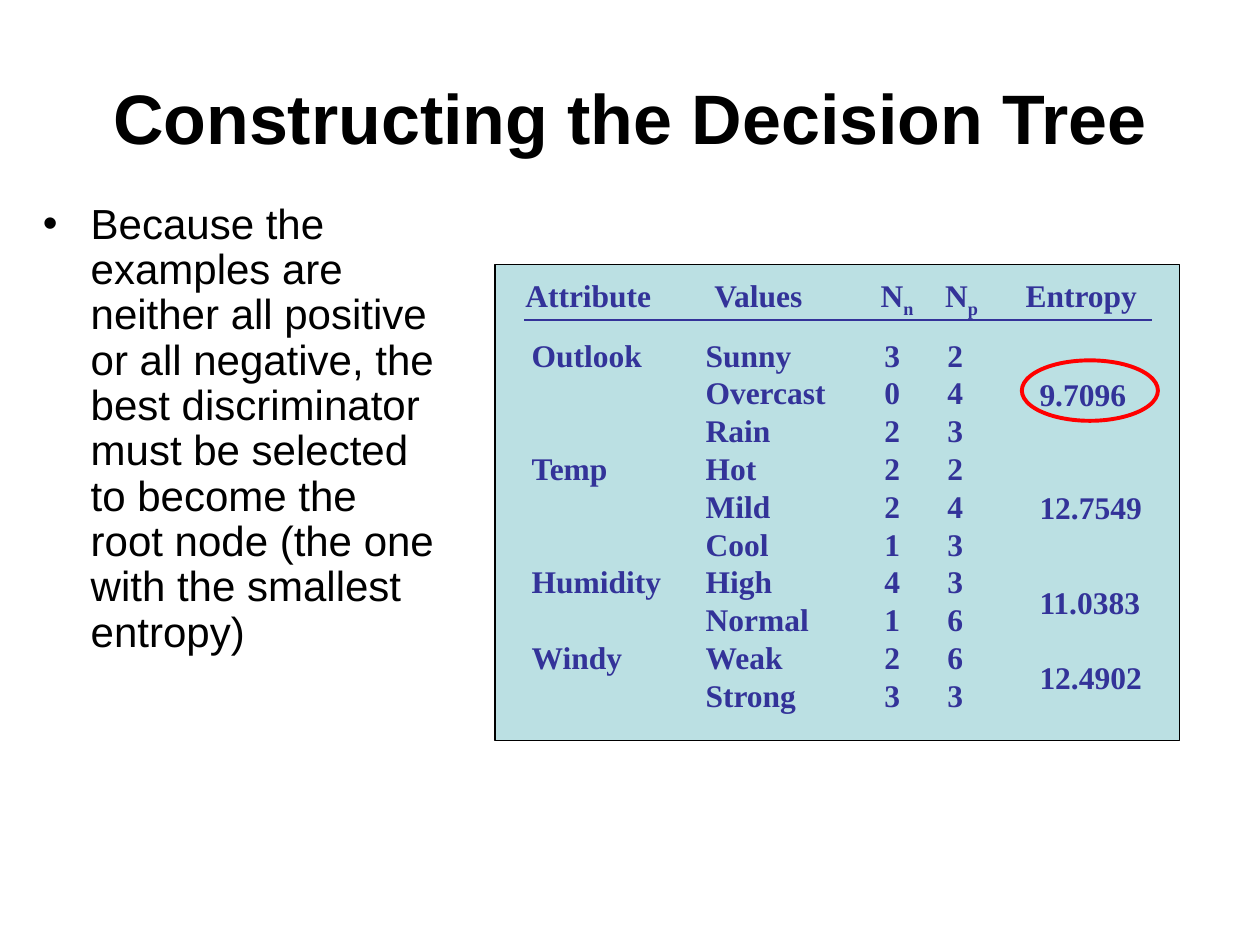
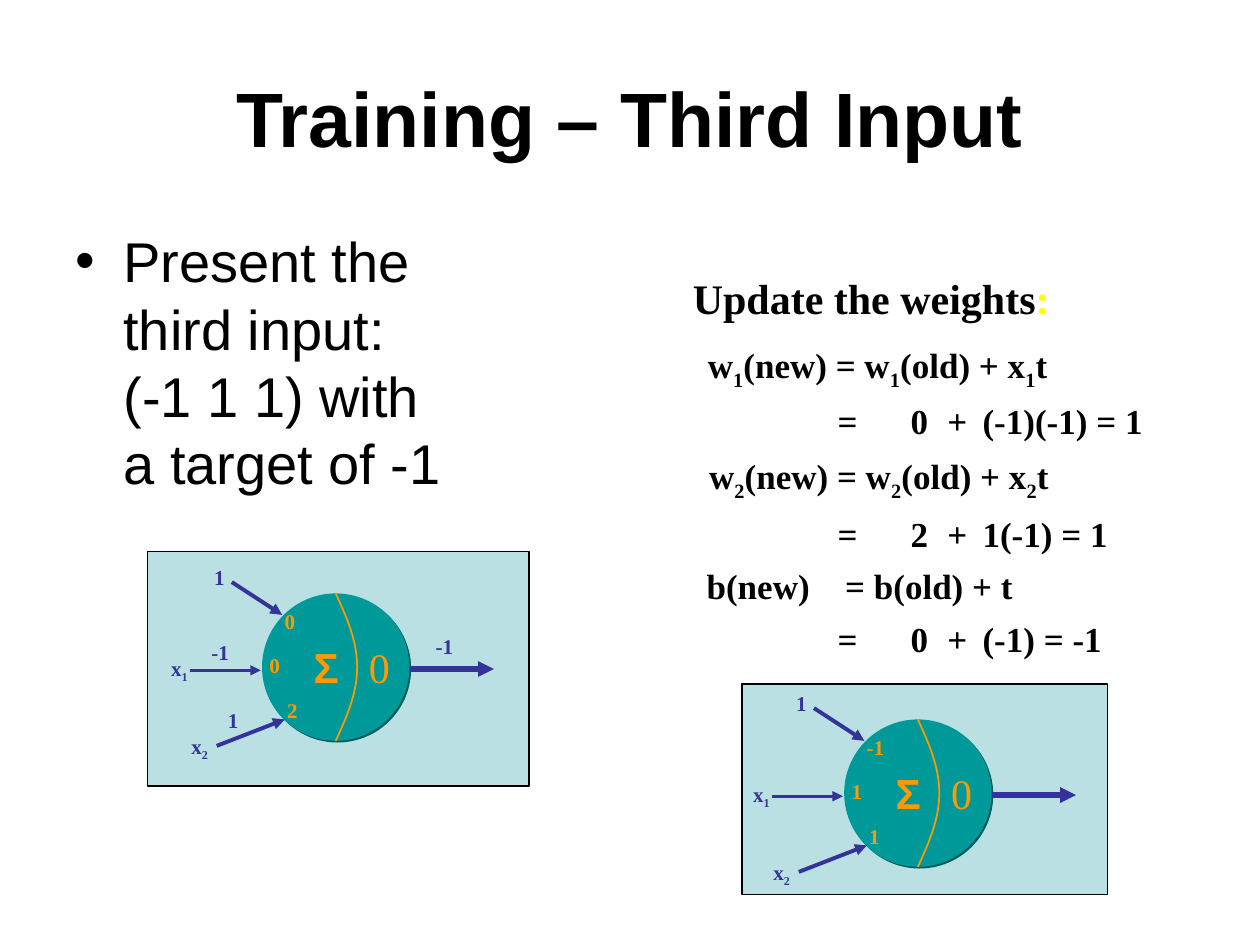
from dataclasses import dataclass
from math import pi, sin
from typing import Any

from lxml import etree
from pptx import Presentation
from pptx.dml.color import RGBColor
from pptx.enum.shapes import MSO_CONNECTOR, MSO_SHAPE
from pptx.enum.text import MSO_ANCHOR, MSO_AUTO_SIZE, PP_ALIGN
from pptx.oxml.ns import qn
from pptx.util import Inches, Pt

RECTANGLE, OVAL = MSO_SHAPE.RECTANGLE, MSO_SHAPE.OVAL
STRAIGHT = MSO_CONNECTOR.STRAIGHT
TOP, MIDDLE = MSO_ANCHOR.TOP, MSO_ANCHOR.MIDDLE
NO_FIT, GROW = MSO_AUTO_SIZE.NONE, MSO_AUTO_SIZE.SHAPE_TO_FIT_TEXT
CENTER = PP_ALIGN.CENTER
PLAIN_TABLE = "{2D5ABB26-0587-4C30-8999-92F81FD0307C}"


@dataclass(frozen=True)
class Theme:
    sans: str = "Arial"
    serif: str = "Times New Roman"
    black: RGBColor = RGBColor(0, 0, 0)
    panel: RGBColor = RGBColor(0xBB, 0xE0, 0xE3)
    indigo: RGBColor = RGBColor(0x33, 0x33, 0x99)
    teal: RGBColor = RGBColor(0, 0x99, 0x99)
    orange: RGBColor = RGBColor(0xFF, 0x99, 0)
    red: RGBColor = RGBColor(0xFF, 0, 0)
    yellow: RGBColor = RGBColor(0xFF, 0xFF, 0)
    neuron_shadow: str = "005B5B"
    label_size: int = 12
    table_size: int = 18
    formula_size: int = 20
    heading_size: int = 24


THEME = Theme()


@dataclass(frozen=True)
class Place:
    left: float
    top: float
    width: float
    height: float

    def lengths(self) -> tuple:
        return tuple(Inches(v) for v in (self.left, self.top, self.width, self.height))


@dataclass(frozen=True)
class Column:
    width: float
    head: str
    head_indent: float
    body_indent: float


@dataclass(frozen=True)
class Attribute:
    name: str
    entropy: str
    values: tuple


@dataclass(frozen=True)
class Label:
    text: str
    left: float
    top: float
    color: RGBColor = THEME.indigo
    size: int = THEME.label_size
    name: str = THEME.serif
    bold: bool = True
    width: float = 0.28


@dataclass(frozen=True)
class Arrow:
    start: tuple
    end: tuple
    weight: float


@dataclass(frozen=True)
class Formula:
    text: str
    left: float
    top: float
    tabs: tuple = ()


# Attribute table
COLUMNS = (
    Column(1.4, "Attribute", 0.07, 0.12),
    Column(1.4, "Values", 0.17, 0.1),
    Column(0.5, "N_n", 0.09, 0.12),
    Column(0.6, "N_p", 0.1, 0.12),
    Column(1.2, "Entropy", 0.14, 0.25),
)
ATTRIBUTES = (
    Attribute("Outlook", "9.7096", (("Sunny", 3, 2), ("Overcast", 0, 4), ("Rain", 2, 3))),
    Attribute("Temp", "12.7549", (("Hot", 2, 2), ("Mild", 2, 4), ("Cool", 1, 3))),
    Attribute("Humidity", "11.0383", (("High", 4, 3), ("Normal", 1, 6))),
    Attribute("Windy", "12.4902", (("Weak", 2, 6), ("Strong", 3, 3))),
)
HEAD_HEIGHT, ROW_HEIGHT = 0.47, 0.3

# Neuron parts, measured from the top left of its circle
DIAMETER, BULGE, CURVE_STEPS = 1.17, 0.17, 24
NEURON_ARROWS = (
    Arrow((1.17, 0.6), (1.84, 0.6), 3),
    Arrow((-0.24, -0.09), (0.16, 0.17), 2.25),
    Arrow((-0.36, 1.21), (0.18, 1.0), 2.25),
    Arrow((-0.57, 0.61), (-0.01, 0.61), 1.5),
)
NEURON_LABELS = (
    Label("0", 0.75, 0.33, THEME.orange, THEME.heading_size, bold=False, width=0.36),
    Label("Σ", 0.31, 0.33, THEME.orange, THEME.heading_size, THEME.sans, width=0.39),
    Label("x_1", -0.82, 0.44, width=0.33),
    Label("x_2", -0.66, 1.06, width=0.33),
    Label("1", -0.48, -0.28),
)
WEIGHT_SPOTS = ((0.08, 0.07), (-0.04, 0.42), (0.1, 0.78))
SIGNALS = (
    Label("-1", 1.28, 0.27, width=0.34),
    Label("1", -0.37, 0.86),
    Label("-1", -0.5, 0.32, width=0.34),
)

# Weight updates
RESULT_LEFT, RESULT_TABS = 6.55, (0.58, 0.87, 1.15)
FORMULAS = (
    Formula("w_1(new) = w_1(old) + x_1t", 5.52, 2.68),
    Formula("=\t0\t+\t(-1)(-1) = 1", RESULT_LEFT, 3.12, RESULT_TABS),
    Formula("w_2(new) = w_2(old) + x_2t", 5.53, 3.56),
    Formula("=\t2\t+\t1(-1) = 1", RESULT_LEFT, 4.02, RESULT_TABS),
    Formula("b(new)\t= b(old) + t", 5.51, 4.43, (1.1,)),
    Formula("=\t0\t+\t(-1) = -1", RESULT_LEFT, 4.85, RESULT_TABS),
)


def apply(target: Any, values: dict) -> None:
    for name, value in values.items():
        setattr(target, name, value)


def format_font(font: Any, size: int, color: RGBColor, name: str, bold: bool) -> None:
    apply(font, {"size": Pt(size), "name": name, "bold": bold})
    font.color.rgb = color


def write(para: Any, text: str, size: int, color: RGBColor = THEME.indigo,
          name: str = THEME.serif, bold: bool = True) -> None:
    """Add text; the character after each underscore becomes a subscript."""
    first, *rest = text.split("_")
    pieces = [(first, False)]
    for part in rest:
        pieces += [(part[0], True), (part[1:], False)]
    for piece, lowered in pieces:
        if piece:
            span = para.add_run()
            span.text = piece
            format_font(span.font, size, color, name, bold)
            if lowered:
                span.font._element.set("baseline", "-25000")


def add_box(shapes: Any, place: Place, wrap: bool) -> Any:
    frame = shapes.add_textbox(*place.lengths()).text_frame
    apply(frame, {"word_wrap": wrap, "auto_size": GROW})
    return frame.paragraphs[0]


def add_figure(shapes: Any, kind: Any, place: Place, fill: RGBColor | None,
               line: RGBColor | None, weight: float = 0.75) -> Any:
    figure = shapes.add_shape(kind, *place.lengths())
    figure.shadow.inherit = False
    for part, color in ((figure.fill, fill), (figure.line.fill, line)):
        if color is None:
            part.background()
        else:
            part.solid()
            part.fore_color.rgb = color
    if line is not None:
        figure.line.width = Pt(weight)
    return figure


def add_line(shapes: Any, start: tuple, end: tuple, weight: float, arrow: bool = False) -> None:
    line = shapes.add_connector(STRAIGHT, *(Inches(v) for v in (*start, *end)))
    line.line.color.rgb = THEME.indigo
    line.line.width = Pt(weight)
    if arrow:
        etree.SubElement(line.line._get_or_add_ln(), qn("a:tailEnd"), type="triangle")
    etree.SubElement(line._element.spPr, qn("a:effectLst"))


def add_page(deck: Any, title: str, title_size: int, body: str, body_size: int,
             body_place: Place, spacing: dict) -> Any:
    page = deck.slides.add_slide(deck.slide_layouts[1])
    parts = (
        (page.shapes.title, title, title_size, Place(0.5, 0.3, 9, 1.25), True, MIDDLE),
        (page.placeholders[1], body, body_size, body_place, False, TOP),
    )
    for holder, text, size, place, bold, anchor in parts:
        apply(holder, dict(zip(("left", "top", "width", "height"), place.lengths())))
        frame = holder.text_frame
        frame.text = text
        apply(frame, {"auto_size": NO_FIT, "word_wrap": True, "vertical_anchor": anchor})
        for span in frame.paragraphs[0].runs:
            format_font(span.font, size, THEME.black, THEME.sans, bold)
    page.shapes.title.text_frame.paragraphs[0].alignment = CENTER
    para = page.placeholders[1].text_frame.paragraphs[0]
    apply(para, spacing)
    properties = para._p.get_or_add_pPr()
    properties.set("marL", str(Inches(0.38)))
    properties.set("indent", str(-Inches(0.38)))
    return page


def fill_cell(cell: Any, text: str, indent: float, anchor: Any = TOP) -> None:
    cell.fill.background()
    apply(cell, {"margin_left": Inches(indent), "margin_right": 0, "margin_top": 0,
                 "margin_bottom": 0, "vertical_anchor": anchor})
    para = cell.text_frame.paragraphs[0]
    if text:
        write(para, text, THEME.table_size)
    else:
        etree.SubElement(para._p, qn("a:endParaRPr"), sz="1200")


def add_attribute_table(page: Any) -> None:
    count = sum(len(attribute.values) for attribute in ATTRIBUTES)
    place = Place(4.1, 2.22, sum(c.width for c in COLUMNS), HEAD_HEIGHT + count * ROW_HEIGHT)
    table = page.shapes.add_table(count + 1, len(COLUMNS), *place.lengths()).table
    apply(table, {"first_row": False, "horz_banding": False})
    table._tbl.tblPr.find(qn("a:tableStyleId")).text = PLAIN_TABLE
    for row in table.rows:
        row.height = Inches(ROW_HEIGHT)
    table.rows[0].height = Inches(HEAD_HEIGHT)
    for index, column in enumerate(COLUMNS):
        table.columns[index].width = Inches(column.width)
        fill_cell(table.cell(0, index), column.head, column.head_indent)
    row_index, last = 1, len(COLUMNS) - 1
    for attribute in ATTRIBUTES:
        start = row_index
        for values in attribute.values:
            first = row_index == start
            texts = (attribute.name if first else "", *map(str, values),
                     attribute.entropy if first else "")
            for index, text in enumerate(texts):
                fill_cell(table.cell(row_index, index), text, COLUMNS[index].body_indent,
                          MIDDLE if index == last else TOP)
            row_index += 1
        table.cell(start, last).merge(table.cell(row_index - 1, last))


def add_neuron(page: Any, left: float, top: float, weights: tuple, signals: tuple = ()) -> None:
    shapes = page.shapes.add_group_shape().shapes
    # Circle with a hard shadow
    circle = add_figure(shapes, OVAL, Place(left, top, DIAMETER, DIAMETER), THEME.teal, None)
    effects = circle._element.spPr.find(qn("a:effectLst"))
    shadow = etree.SubElement(effects, qn("a:outerShdw"), dist=str(Pt(1.4)), dir="2700000",
                              algn="ctr", rotWithShape="0")
    etree.SubElement(shadow, qn("a:srgbClr"), val=THEME.neuron_shadow)
    # Bowed divider
    points = [(Inches(left + DIAMETER / 2 + BULGE * sin(pi * step / CURVE_STEPS)),
               Inches(top + DIAMETER * step / CURVE_STEPS)) for step in range(CURVE_STEPS + 1)]
    builder = shapes.build_freeform(*points[0])
    builder.add_line_segments(points[1:], close=False)
    divider = builder.convert_to_shape()
    divider.shadow.inherit = False
    divider.fill.background()
    divider.line.color.rgb = THEME.orange
    divider.line.width = Pt(1)
    # Arrows and labels
    for arrow in NEURON_ARROWS:
        start, end = ((left + x, top + y) for x, y in (arrow.start, arrow.end))
        add_line(shapes, start, end, arrow.weight, arrow=True)
    weight_labels = tuple(Label(text, *spot, THEME.orange, width=0.22 + 0.06 * len(text))
                          for text, spot in zip(weights, WEIGHT_SPOTS))
    for label in NEURON_LABELS + weight_labels + signals:
        place = Place(left + label.left, top + label.top, label.width, label.size / 60 + 0.1)
        write(add_box(shapes, place, wrap=False), label.text, label.size, label.color,
              label.name, label.bold)


def build_tree_page(deck: Any) -> None:
    page = add_page(
        deck, "Constructing the Decision Tree", 40,
        "Because the examples are neither all positive or all negative, the best discriminator "
        "must be selected to become the root node (the one with the smallest entropy)",
        24, Place(0.24, 1.56, 3.34, 4.95), {"line_spacing": 0.9, "space_before": Pt(6)})
    add_figure(page.shapes, RECTANGLE, Place(3.93, 2.1, 5.43, 3.78), THEME.panel, THEME.black)
    add_attribute_table(page)
    add_line(page.shapes, (4.16, 2.54), (9.14, 2.54), 1)
    add_figure(page.shapes, OVAL, Place(8.11, 2.86, 1.08, 0.48), None, THEME.red, 2.25)


def build_training_page(deck: Any) -> None:
    page = add_page(
        deck, "Training – Third Input", 44,
        "Present the third input:\v(-1 1 1) with a target of -1",
        32, Place(0.5, 1.75, 3.26, 2.38), {"space_before": Pt(8)})
    for place in (Place(5.89, 5.43, 2.9, 1.67), Place(1.17, 4.38, 3.03, 1.86)):
        add_figure(page.shapes, RECTANGLE, place, THEME.panel, THEME.black)
    add_neuron(page, 2.08, 4.71, ("0", "0", "2"), SIGNALS)
    add_neuron(page, 6.7, 5.71, ("-1", "1", "1"))
    heading = add_box(page.shapes, Place(5.4, 2.11, 3.3, 0.5), wrap=True)
    write(heading, "Update the weights", THEME.heading_size, THEME.black)
    write(heading, ":", THEME.heading_size, THEME.yellow)
    for formula in FORMULAS:
        para = add_box(page.shapes, Place(formula.left, formula.top, 3.1, 0.44), wrap=True)
        write(para, formula.text, THEME.formula_size, THEME.black)
        if formula.tabs:
            stops = etree.SubElement(para._p.get_or_add_pPr(), qn("a:tabLst"))
            for stop in formula.tabs:
                etree.SubElement(stops, qn("a:tab"), pos=str(Inches(stop)), algn="l")


def main() -> None:
    deck = Presentation()
    apply(deck, {"slide_width": Inches(10), "slide_height": Inches(7.5)})
    build_tree_page(deck)
    build_training_page(deck)
    deck.save("out.pptx")


if __name__ == "__main__":
    main()
